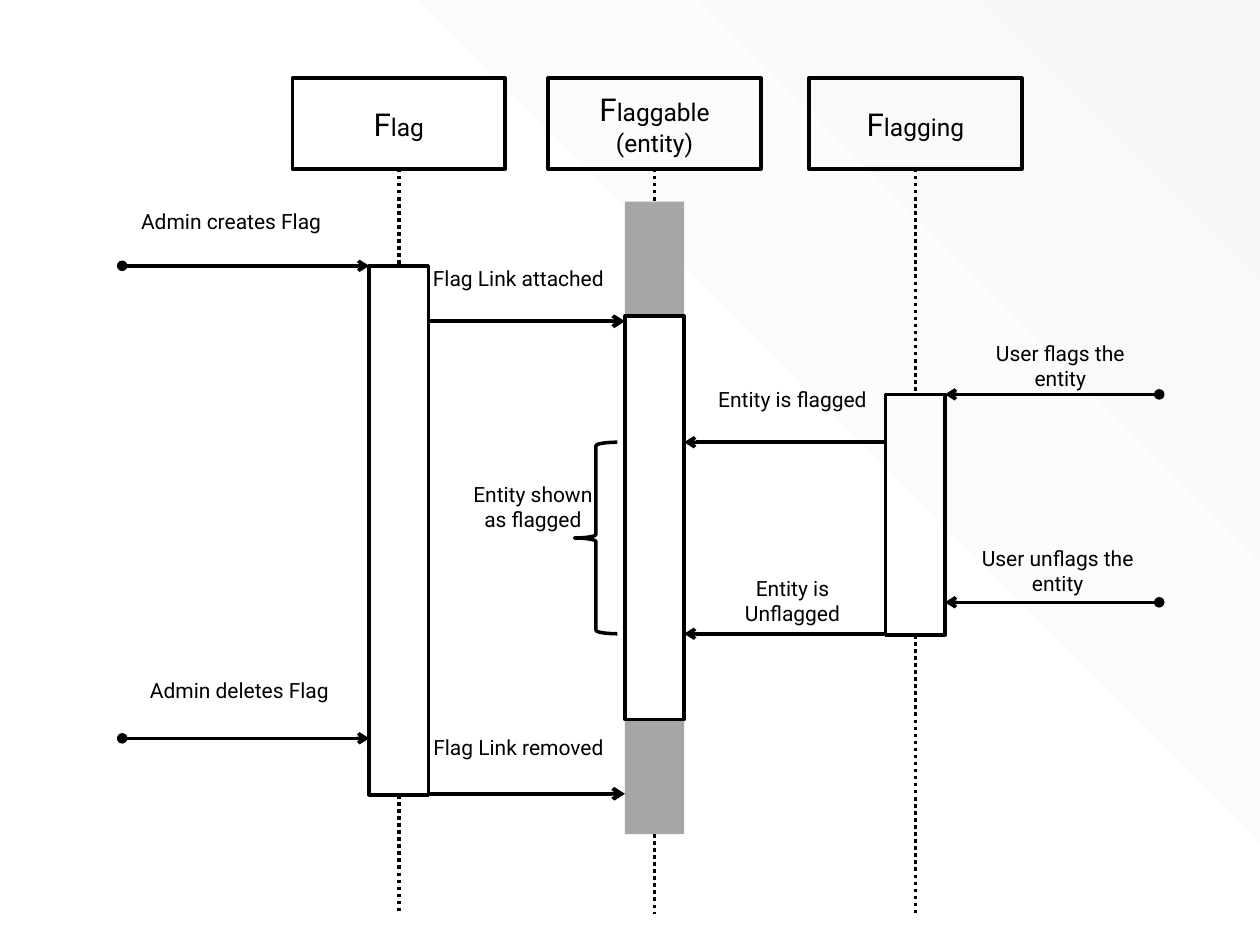
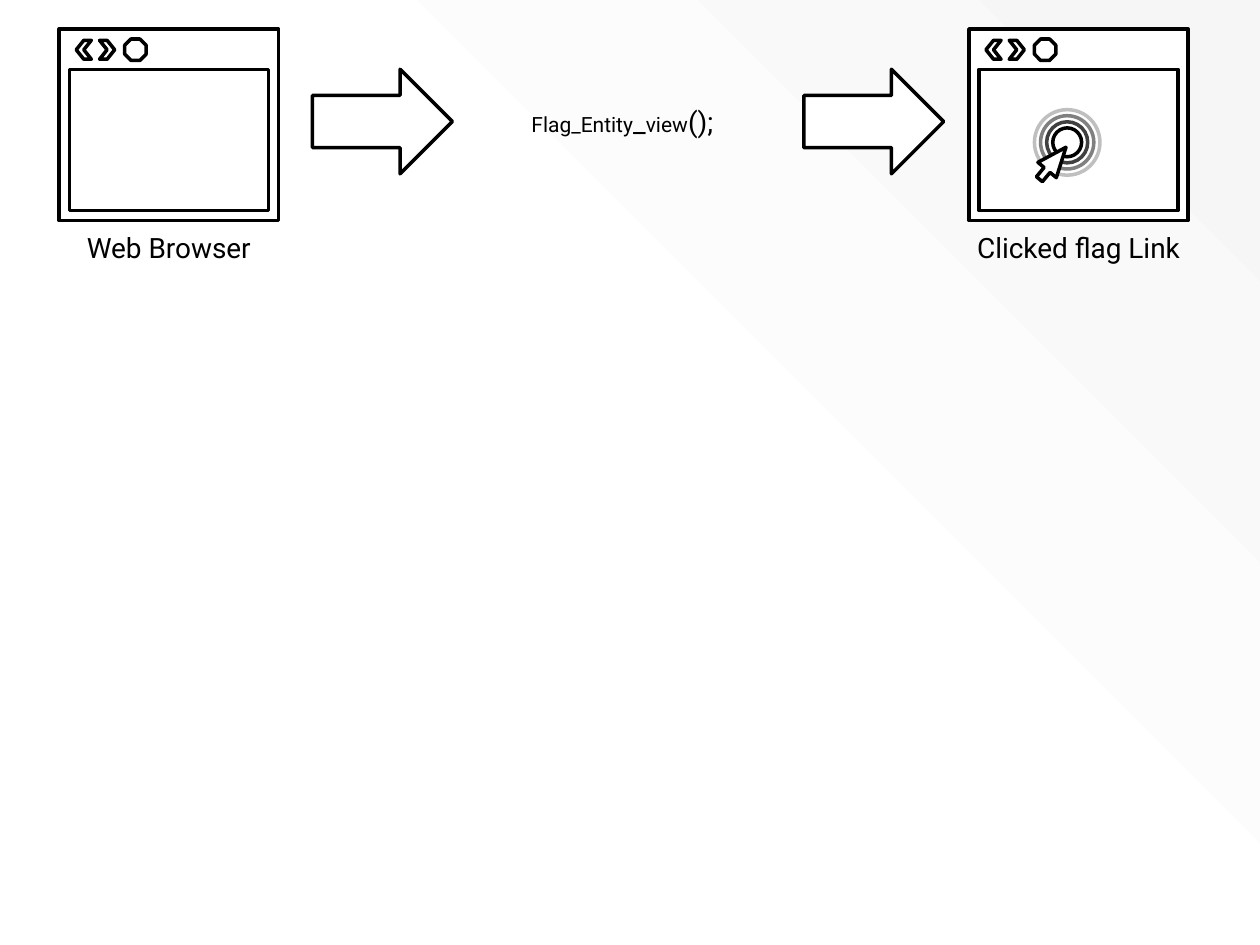
from dataclasses import dataclass
from lxml.etree import SubElement
from pptx import Presentation
from pptx.dml.color import RGBColor
from pptx.enum.dml import MSO_LINE
from pptx.enum.shapes import MSO_CONNECTOR, MSO_SHAPE
from pptx.enum.text import MSO_ANCHOR, PP_ALIGN
from pptx.oxml.ns import qn
from pptx.util import Inches, Pt

# Grid: 100 columns by 75 rows
COLS, ROWS = 100, 75
CELL = Inches(10) / COLS
BLACK, WHITE, GREY, PALE = "000000", "FFFFFF", "A6A6A6", "F6F6F6"
FONT = "Roboto"
BAR_W = 4.7


@dataclass
class Box:
    x: float
    y: float
    w: float
    h: float

    def sub(self, x, y, w, h):
        return Box(self.x + x, self.y + y, w, h)

    def emu(self):
        return [cells(v) for v in (self.x, self.y, self.w, self.h)]

    @property
    def right(self):
        return self.x + self.w

    @property
    def mid(self):
        return self.x + self.w / 2


def cells(n):
    return round(n * CELL)


def rgb(value):
    return RGBColor.from_string(value)


def set_all(obj, **values):
    for name, value in values.items():
        setattr(obj, name, value)


# Basic parts
def add_shape(s, kind, box, fill=None, line=BLACK):
    sp = s.shapes.add_shape(kind, *box.emu())
    sp.shadow.inherit = False
    if fill:
        sp.fill.solid()
        sp.fill.fore_color.rgb = rgb(fill)
    else:
        sp.fill.background()
    if line:
        sp.line.color.rgb = rgb(line)
        sp.line.width = Pt(2)
    else:
        sp.line.fill.background()
    return sp


def write(sp, runs, anchor=MSO_ANCHOR.TOP):
    """Fill a shape with centred (text, size) runs; a newline breaks the line."""
    tf = sp.text_frame
    set_all(tf, word_wrap=True, vertical_anchor=anchor)
    p = tf.paragraphs[0]
    p.alignment = PP_ALIGN.CENTER
    for text, size in runs:
        for i, part in enumerate(text.split("\n")):
            if i:
                p.add_line_break()
            r = p.add_run()
            r.text = part
            set_all(r.font, name=FONT, size=Pt(size))
            r.font.color.rgb = rgb(BLACK)


def add_label(s, box, *runs):
    write(s.shapes.add_textbox(*box.emu()), runs)


def add_line(s, x1, y1, x2, y2, width=2, dash=None, **ends):
    ln = s.shapes.add_connector(MSO_CONNECTOR.STRAIGHT, *map(cells, (x1, y1, x2, y2)))
    SubElement(ln._element.spPr, qn("a:effectLst"))
    ln.line.color.rgb = rgb(BLACK)
    set_all(ln.line, width=Pt(width), dash_style=dash)
    for end in ("headEnd", "tailEnd"):
        if ends.get(end):
            SubElement(ln.line._get_or_add_ln(), qn(f"a:{end}"), type=ends[end])
    return ln


# Shared backdrop, kept on the slide master
def add_backdrop(prs, s):
    sp = add_shape(s, MSO_SHAPE.RECTANGLE, Box(0, 0, COLS, ROWS), line=None)
    sp.fill.gradient()
    for stop, position, color in zip(sp.fill.gradient_stops, (0.49, 1), (WHITE, PALE)):
        stop.position = position
        stop.color.rgb = rgb(color)
    grad = sp._element.spPr.find(qn("a:gradFill"))
    grad.remove(grad.find(qn("a:lin")))
    shade = SubElement(grad, qn("a:path"), path="circle")
    SubElement(shade, qn("a:fillToRect"), t="100000", r="100000")
    prs.slide_master.shapes._spTree.insert(2, sp._element)


# Sequence diagram
def add_lifeline(s, box, runs, start, end, idle=0):
    """Header, active bar with optional grey idle parts, and dotted line."""
    header = add_shape(s, MSO_SHAPE.RECTANGLE, box.sub(0, 0, box.w, 7.2))
    write(header, runs, MSO_ANCHOR.MIDDLE)

    def bar(y, h, **look):
        return add_shape(s, MSO_SHAPE.RECTANGLE, Box(box.mid - BAR_W / 2, y, BAR_W, h), **look)

    first = last = None
    if idle:
        first, last = [bar(y, idle, fill=GREY, line=None) for y in (start - idle, end)]
    active = bar(start, end - start)
    first, last = first or active, last or active

    above = add_line(s, box.mid, box.y + 7.2, box.mid, start, dash=MSO_LINE.ROUND_DOT)
    above.begin_connect(header, 2)
    above.end_connect(first, 0)
    below = add_line(s, box.mid, end, box.mid, box.y + box.h, dash=MSO_LINE.ROUND_DOT)
    below.begin_connect(last, 2)
    return Box(box.mid - BAR_W / 2, start, BAR_W, end - start)


def add_message(s, x1, x2, y, text, label, width=2, found=False):
    """Arrow at row y; label gives column, rows above the arrow, and width."""
    add_line(s, x1, y, x2, y, width, headEnd="oval" if found else None, tailEnd="arrow")
    x, rise, w = label
    add_label(s, Box(x, y - rise, w, 5), (text, 12))


def build_sequence(s, box):
    # Lifelines
    lifelines = (
        (23.2, [("F", 18), ("lag", 14)], 21.1, 63.1, 0),
        (43.5, [("F", 18), ("laggable\n(entity)", 14)], 25.1, 57.1, 9.1),
        (64.2, [("F", 18), ("lagging", 14)], 31.3, 50.4, 0),
    )
    flag, entity, flagging = [
        add_lifeline(s, box.sub(x, 6.2, 16.9, 66.3), runs, box.y + start, box.y + end, idle)
        for x, runs, start, end, idle in lifelines]

    # Messages from people outside the system
    admin, user = box.x + 9.7, box.x + 92
    for x1, x2, y, text, label in (
        (admin, flag.x, 21.1, "Admin creates Flag", (9.7, 5, 17.3)),
        (admin, flag.x, 58.6, "Admin deletes Flag", (10.4, 5.3, 17.2)),
        (user, flagging.right, 31.3, "User flags the entity", (76.4, 4.8, 15.5)),
        (user, flagging.right, 47.8, "User unflags the entity", (75.3, 5, 17.3)),
    ):
        add_message(s, x1, x2, box.y + y, text, label, found=True)

    # Messages between lifelines
    for x1, x2, y, text, label, width in (
        (flag.right, entity.x, 25.5, "Flag Link attached", (32.5, 4.9, 17.3), 2.25),
        (flag.right, entity.x, 63, "Flag Link removed", (32.5, 5.2, 17.3), 2.25),
        (flagging.x, entity.right, 35.1, "Entity is flagged", (55.5, 4.9, 14.8), 2),
        (flagging.x, entity.right, 50.3, "Entity is Unflagged", (55.5, 5.1, 14.8), 2),
    ):
        add_message(s, x1, x2, box.y + y, text, label, width)

    # Span while the entity is flagged
    add_shape(s, MSO_SHAPE.LEFT_BRACE, box.sub(45.6, 35.1, 3.4, 15.2))
    add_label(s, box.sub(36.3, 37.7, 12, 9.1), ("Entity shown as flagged", 12))


# Page flow
def add_browser(s, box, caption):
    for kind, part in (
        (MSO_SHAPE.RECTANGLE, (0, 0, box.w, box.h)),
        (MSO_SHAPE.RECTANGLE, (0.8, 3.2, box.w - 1.6, box.h - 4)),
        (MSO_SHAPE.CHEVRON, (1.35, 0.9, 1.2, 1.5)),
        (MSO_SHAPE.CHEVRON, (3.2, 0.9, 1.2, 1.5)),
        (MSO_SHAPE.OCTAGON, (5.2, 0.8, 1.7, 1.7)),
    ):
        sp = add_shape(s, kind, box.sub(*part), fill=WHITE)
        if part[0] == 1.35:  # back button points left
            sp._element.spPr.find(qn("a:xfrm")).set("flipH", "1")
    add_label(s, Box(box.mid - 14.1, box.y + 15.5, 28.2, 3.7), (caption, 16))


def add_click(s, box):
    """Fading rings centred in the box, with a pointer on them."""
    for i, color in enumerate((BLACK, "404040", "808080", "BFBFBF")):
        d = box.w - (3 - i) * 0.97
        gap = (box.w - d) / 2
        add_shape(s, MSO_SHAPE.OVAL, box.sub(gap, gap, d, d), line=color)
    pointer = add_shape(s, MSO_SHAPE.RIGHT_ARROW, box.sub(-0.2, 3.3, 3.3, 1.9), fill=WHITE)
    pointer.rotation = 309.8
    pointer.adjustments[0], pointer.adjustments[1] = 0.323, 1.233


def build_page_flow(s, box):
    for x, caption in ((4.7, "Web Browser"), (76.9, "Clicked flag Link")):
        add_browser(s, box.sub(x, 2.3, 17.4, 15.2), caption)
    for x in (24.8, 63.8):
        add_shape(s, MSO_SHAPE.RIGHT_ARROW, box.sub(x, 5.5, 11.1, 8.3), fill=WHITE)
    add_label(s, box.sub(36.6, 7.8, 25.6, 3.7),
              ("Flag_Entity", 12), ("_", 16), ("view", 12), ("();", 16))
    add_click(s, box.sub(82.1, 8.7, 5.2, 5.2))


def main():
    prs = Presentation()
    set_all(prs, slide_width=Inches(10), slide_height=Inches(7.5))
    for number, build in enumerate((build_sequence, build_page_flow)):
        s = prs.slides.add_slide(prs.slide_layouts[6])
        if number == 0:
            add_backdrop(prs, s)
        build(s, Box(0, 0, COLS, ROWS))
    prs.save("out.pptx")


if __name__ == "__main__":
    main()
